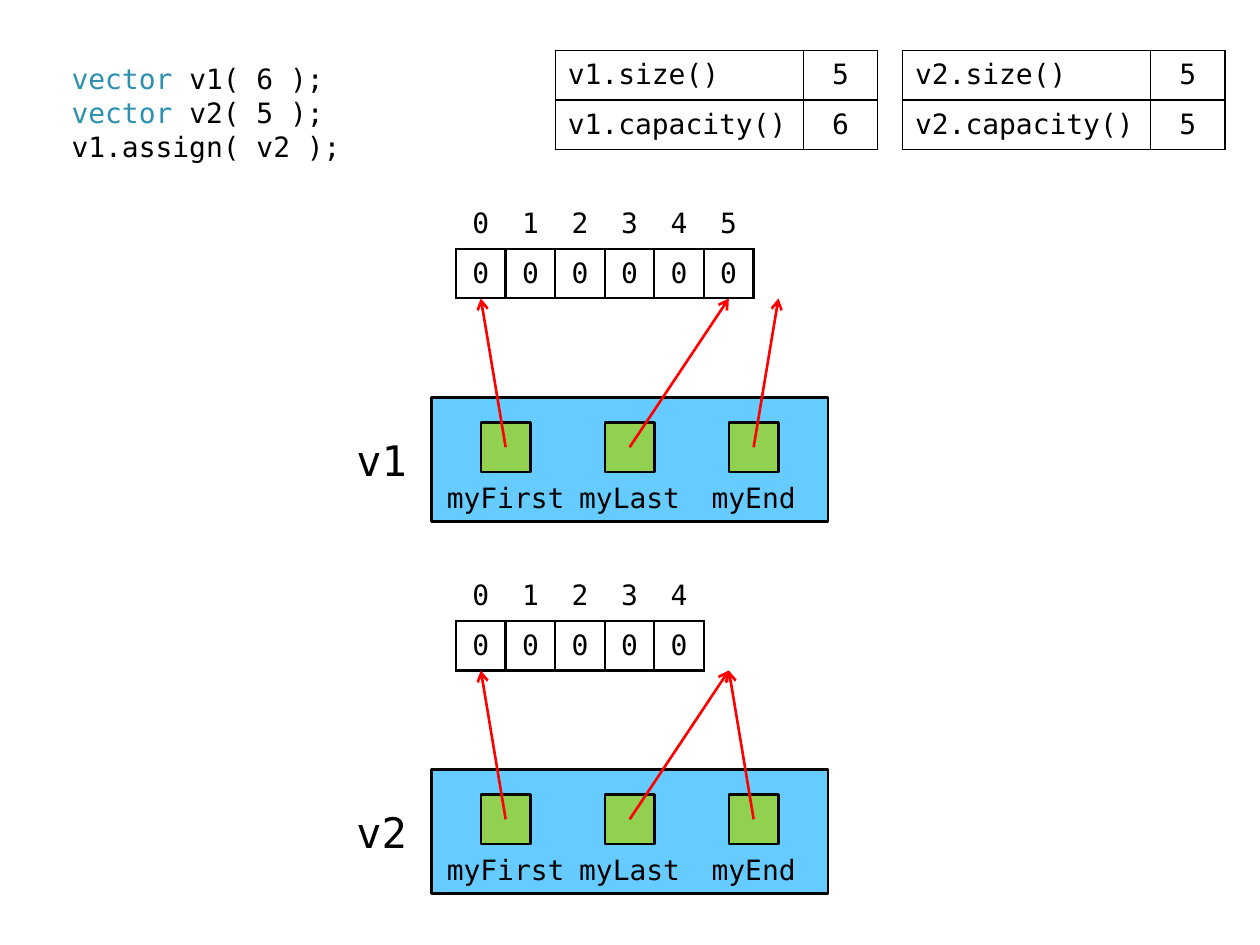
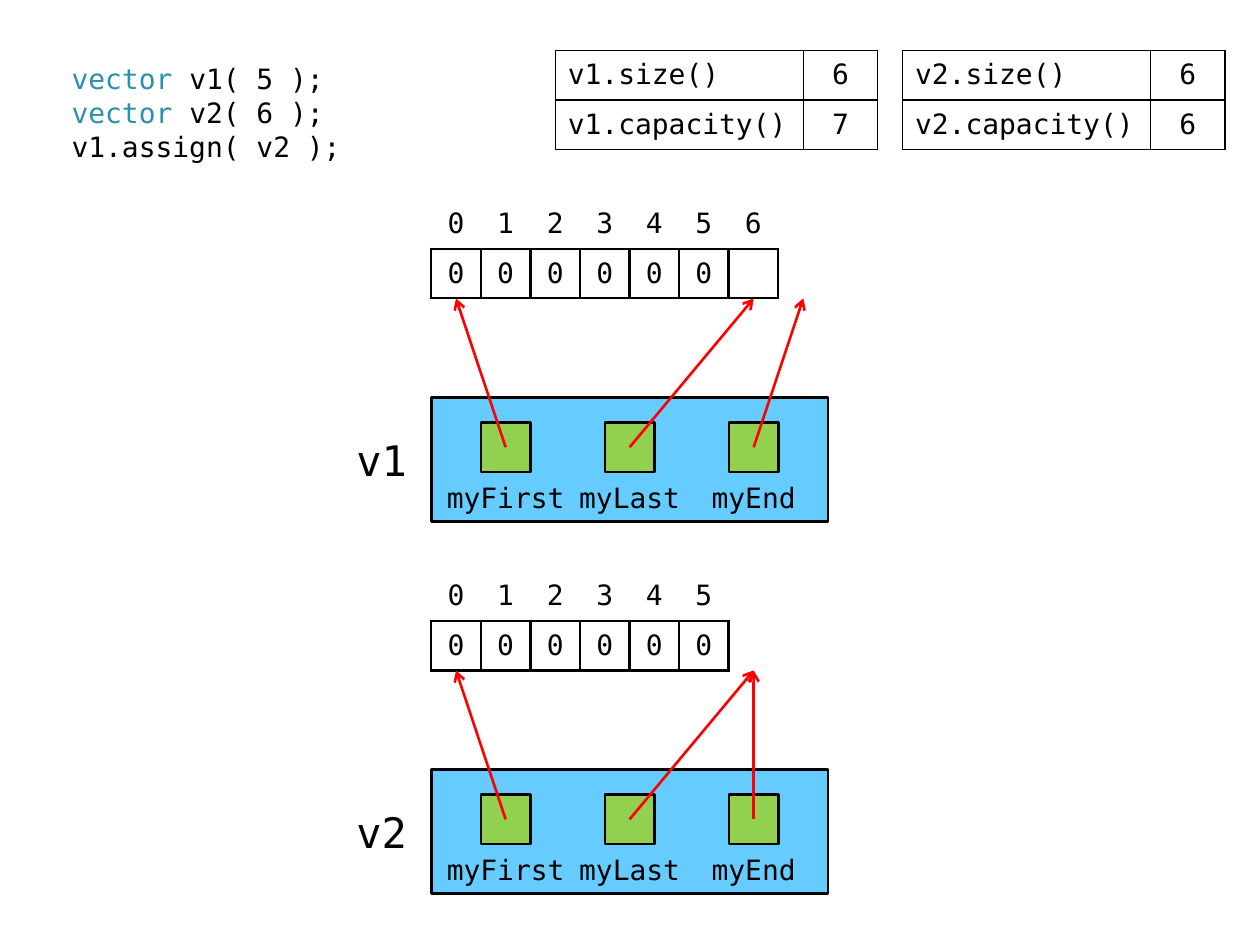
from dataclasses import dataclass

from lxml import etree
from pptx import Presentation, util as u
from pptx.dml.color import RGBColor
from pptx.enum import shapes, text
from pptx.oxml import ns

# Content: each slide lists its vectors, first the length they are declared with
SLIDES = [
    {"array_x": 8, "vectors": [
        {"name": "v1", "declared": 6, "size": 5, "capacity": 6, "shown": 6},
        {"name": "v2", "declared": 5, "size": 5, "capacity": 5, "shown": 5}]},
    {"array_x": 7.5, "vectors": [
        {"name": "v1", "declared": 5, "size": 6, "capacity": 7, "shown": 6},
        {"name": "v2", "declared": 6, "size": 6, "capacity": 6, "shown": 6}]},
]
MEMBERS = ["myFirst", "myLast", "myEnd"]


@dataclass(frozen=True)
class Theme:
    font: str = "DejaVu Sans Mono"
    body: int = 16
    name: int = 24
    ink: str = "000000"
    keyword: str = "2B91AF"
    box: str = "66CCFF"
    slot: str = "92D050"
    arrow: str = "FF0000"
    line: float = 1.5
    stat_line: float = 1


T = Theme()

# Everything sits on a one-centimetre grid, counted from the top left margin
CELL = 1 / 2.54
LEFT, TOP = 0.47, 0.4
CENTER, START = text.PP_ALIGN.CENTER, text.PP_ALIGN.LEFT


def gx(col):
    return u.Inches(LEFT + col * CELL)


def gy(row):
    return u.Inches(TOP + row * CELL)


def size(cells):
    return u.Inches(cells * CELL)


def place(x, y, w, h):
    return gx(x), gy(y), size(w), size(h)


def style(p, align=CENTER, pt=T.body):
    p.alignment = align
    p.font.name, p.font.size = T.font, u.Pt(pt)
    p.font.color.rgb = RGBColor.from_string(T.ink)


def write(sp, words, pt=T.body):
    tf = sp.text_frame
    tf.word_wrap = True
    tf.vertical_anchor = text.MSO_ANCHOR.MIDDLE
    p = tf.paragraphs[0]
    p.text = words
    style(p, pt=pt)


def add_box(s, kind, at, fill=None):
    sp = s.shapes.add_shape(kind, *at)
    sp.shadow.inherit = False
    if fill:
        sp.fill.solid()
        sp.fill.fore_color.rgb = RGBColor.from_string(fill)
        sp.line.color.rgb = RGBColor.from_string(T.ink)
        sp.line.width = u.Pt(T.line)
    else:
        sp.fill.background()
        sp.line.fill.background()
    return sp


def add_arrow(s, x1, y1, x2, y2):
    line = s.shapes.add_connector(shapes.MSO_CONNECTOR.STRAIGHT,
                                  gx(x1), gy(y1), gx(x2), gy(y2))
    line.line.color.rgb = RGBColor.from_string(T.arrow)
    line.line.width = u.Pt(T.line)
    etree.SubElement(line.line._get_or_add_ln(), ns.qn("a:tailEnd"), type="arrow")
    etree.SubElement(line._element.spPr, ns.qn("a:effectLst"))


def set_borders(cell, sides, pt):
    """Draw the given sides (letters of LRTB) and clear the others."""
    tc_pr = cell._tc.get_or_add_tcPr()
    for i, side in enumerate("LRTB"):
        ln = etree.Element(ns.qn(f"a:ln{side}"), w=str(u.Pt(pt)))
        if side in sides:
            fill = etree.SubElement(ln, ns.qn("a:solidFill"))
            etree.SubElement(fill, ns.qn("a:srgbClr"), val=T.ink)
        else:
            etree.SubElement(ln, ns.qn("a:noFill"))
        tc_pr.insert(i, ln)


def add_grid(s, x, y, widths, rows, aligns, row_sides, pt, inset):
    at = place(x, y, sum(widths), len(rows))
    tbl = s.shapes.add_table(len(rows), len(widths), *at).table
    tbl.first_row = tbl.horz_banding = False
    for col, w in zip(tbl.columns, widths):
        col.width = size(w)
    for r, values in enumerate(rows):
        tbl.rows[r].height = size(1)
        for c, value in enumerate(values):
            cell = tbl.cell(r, c)
            cell.text = value
            cell.fill.background()
            cell.vertical_anchor = text.MSO_ANCHOR.MIDDLE
            cell.margin_left = cell.margin_right = u.Inches(inset)
            cell.margin_top = cell.margin_bottom = u.Inches(0.04)
            style(cell.text_frame.paragraphs[0], aligns[c])
            set_borders(cell, row_sides[r], pt)


def add_code(s, vectors):
    tf = s.shapes.add_textbox(*place(0, 0, 6, 2.5)).text_frame
    tf.word_wrap = True
    tf.vertical_anchor = text.MSO_ANCHOR.MIDDLE
    lines = [("vector ", f"{v['name']}( {v['declared']} );") for v in vectors]
    lines.append(("", "v1.assign( v2 );"))
    for i, (keyword, rest) in enumerate(lines):
        p = tf.paragraphs[0] if i == 0 else tf.add_paragraph()
        style(p, START)
        if keyword:
            r = p.add_run()
            r.text = keyword
            r.font.color.rgb = RGBColor.from_string(T.keyword)
        p.add_run().text = rest


def add_stats(s, x, v):
    rows = [(f"{v['name']}.{key}()", str(v[key])) for key in ("size", "capacity")]
    add_grid(s, x, 0, [5, 1.5], rows, [START, CENTER], ["LRTB"] * 2,
             T.stat_line, 0.1)


def add_vector(s, array_x, y, v):
    # Array with its indices
    n = v["capacity"]
    values = ["0"] * v["shown"] + [""] * (n - v["shown"])
    add_grid(s, array_x, y, [1] * n, [[str(i) for i in range(n)], values],
             [CENTER] * n, ["B", "LRTB"], T.line, 0.06)

    # Vector object
    label = s.shapes.add_textbox(*place(5.5, y + 4.5, 2, 1.5))
    write(label, v["name"], T.name)
    process = shapes.MSO_SHAPE.FLOWCHART_PROCESS
    add_box(s, process, place(7.5, y + 4, 8, 2.5), T.box)

    # Members, each pointing at a position in the array
    for i, (member, index) in enumerate(zip(MEMBERS, (0, v["size"], n))):
        mid = 9 + 2.5 * i
        write(add_box(s, process, place(mid - 1.5, y + 5.5, 3, 1)), member)
        add_box(s, shapes.MSO_SHAPE.RECTANGLE, place(mid - 0.5, y + 4.5, 1, 1), T.slot)
        add_arrow(s, mid, y + 5, array_x + index + 0.5, y + 2)


def main():
    prs = Presentation()
    prs.slide_width, prs.slide_height = u.Inches(10), u.Inches(7.5)
    for content in SLIDES:
        s = prs.slides.add_slide(prs.slide_layouts[6])
        add_code(s, content["vectors"])
        for i, v in enumerate(content["vectors"]):
            add_stats(s, 10 + 7 * i, v)
            add_vector(s, content["array_x"], 3 + 7.5 * i, v)
    prs.save("out.pptx")


if __name__ == "__main__":
    main()
